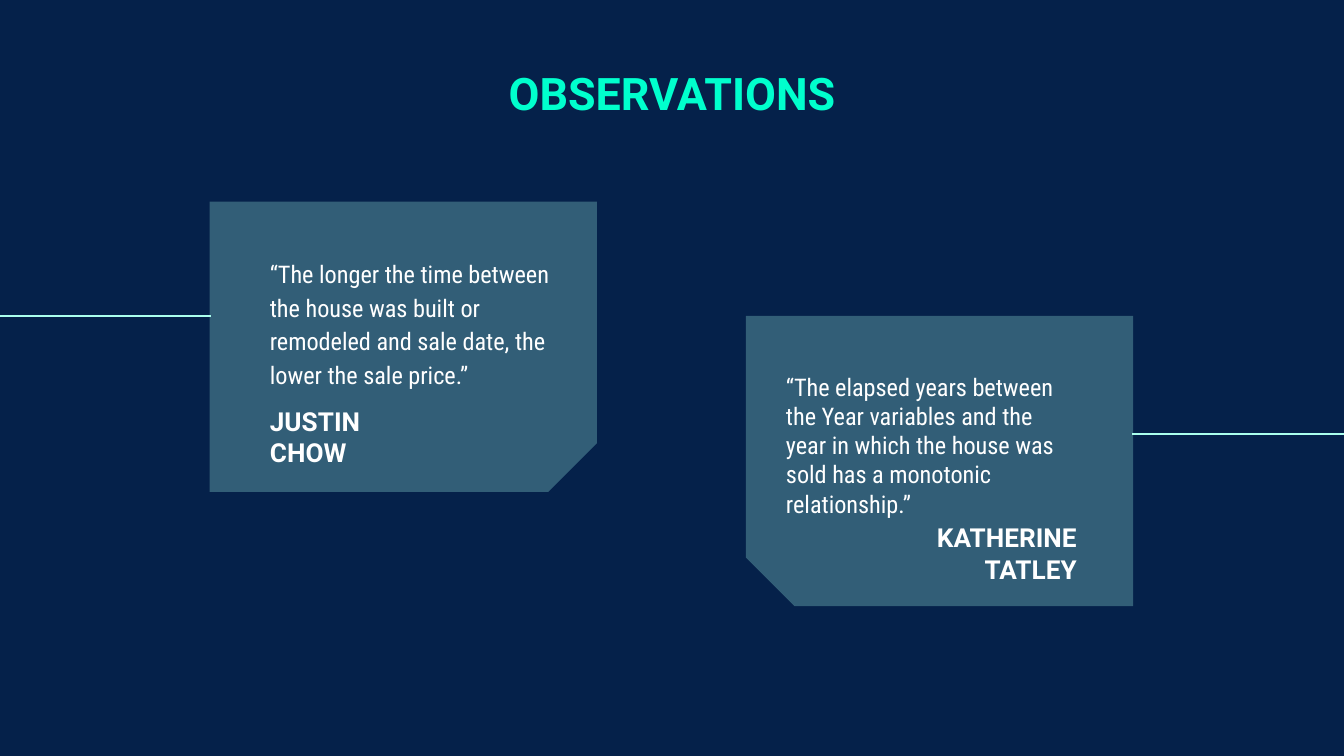
from lxml import etree
from pptx import Presentation
from pptx.dml.color import RGBColor
from pptx.enum.shapes import MSO_CONNECTOR, MSO_SHAPE
from pptx.enum.text import MSO_ANCHOR, PP_ALIGN
from pptx.oxml.ns import qn
from pptx.util import Inches, Pt

STRAIGHT = MSO_CONNECTOR.STRAIGHT
SNIPPED = MSO_SHAPE.SNIP_1_RECTANGLE
TOP, BOTTOM = MSO_ANCHOR.TOP, MSO_ANCHOR.BOTTOM
LEFT, CENTER, RIGHT = PP_ALIGN.LEFT, PP_ALIGN.CENTER, PP_ALIGN.RIGHT

# The grid has square cells: 100 columns by 56.25 rows.
COLUMNS, ROWS = 100, 56.25
CELL = 0.1
CARD_WIDTH, CARD_HEIGHT = 28.8, 21.6

NAVY, MINT, PALE, WHITE = "05214A", "00FFCD", "AAFFEE", "FFFFFF"
HEADING_FONT, BODY_FONT = "Roboto", "Roboto Condensed"


def grid(cells):
    return Inches(cells * CELL)


def color(hex_string):
    return RGBColor.from_string(hex_string)


def write(frame, text, *, size, font, fill=WHITE, bold=False, align=LEFT,
          anchor=TOP, spacing=1.0):
    frame.word_wrap = True
    frame.vertical_anchor = anchor
    frame.margin_left = frame.margin_right = grid(1)
    frame.margin_top = frame.margin_bottom = grid(1)
    paragraph = frame.paragraphs[0]
    paragraph.alignment = align
    paragraph.line_spacing = spacing
    run = paragraph.add_run()
    run.text = text
    run.font.size = Pt(size)
    run.font.name = font
    run.font.bold = bold
    run.font.color.rgb = color(fill)


class Deck:
    """Holds the style and the current slide; lengths are in grid cells."""

    def __init__(self):
        self.presentation = Presentation()
        self.presentation.slide_width = grid(COLUMNS)
        self.presentation.slide_height = grid(ROWS)
        self.slide = None

    def add_slide(self):
        blank = self.presentation.slide_layouts[6]
        self.slide = self.presentation.slides.add_slide(blank)
        background = self.slide.background.fill
        background.solid()
        background.fore_color.rgb = color(NAVY)

    def text(self, left, top, width, height, words, **style):
        box = self.slide.shapes.add_textbox(
            grid(left), grid(top), grid(width), grid(height))
        write(box.text_frame, words, **style)

    def rule(self, start, end, row):
        line = self.slide.shapes.add_connector(
            STRAIGHT, grid(start), grid(row), grid(end), grid(row))
        line.line.color.rgb = color(PALE)
        line.line.width = Pt(0.75)
        etree.SubElement(line._element.spPr, qn("a:effectLst"))

    def card(self, left, top, mirrored=False):
        """Draw an upright card turned on its side, its cut corner at the bottom."""
        turn = (CARD_WIDTH - CARD_HEIGHT) / 2
        card = self.slide.shapes.add_shape(
            SNIPPED, grid(left + turn), grid(top - turn),
            grid(CARD_HEIGHT), grid(CARD_WIDTH))
        card.adjustments[0] = 0.167
        card.rotation = 270 if mirrored else 90
        if mirrored:
            card._element.spPr.find(qn("a:xfrm")).set("flipH", "1")
        card.shadow.inherit = False
        card.line.fill.background()
        card.fill.solid()
        card.fill.fore_color.rgb = color(PALE)
        tint = card._element.spPr.find(".//" + qn("a:srgbClr"))
        etree.SubElement(tint, qn("a:alpha")).set("val", "28000")

    def quote(self, left, top, words, spacing=1.0):
        self.text(left, top, 23.6, 11, words, size=13, font=BODY_FONT,
                  spacing=spacing)

    def speaker(self, left, top, width, name, align=LEFT):
        self.text(left, top, width, 4.7, name, size=14, font=HEADING_FONT,
                  bold=True, align=align, anchor=BOTTOM)


def main():
    deck = Deck()
    deck.add_slide()
    first_left, first_top = 15.6, 15
    second_left, second_top = 55.5, 23.5

    deck.rule(COLUMNS, second_left + CARD_WIDTH - 0.1, 32.3)
    deck.rule(first_left + 0.1, 0, 23.5)
    deck.card(second_left, second_top, mirrored=True)
    deck.text(21.5, 3.9, 57, 10.3, "OBSERVATIONS", size=24,
              font=HEADING_FONT, fill=MINT, bold=True, align=CENTER)
    deck.card(first_left, first_top)

    deck.speaker(19.1, 31.1, 13.8, "JUSTIN CHOW")
    deck.quote(19.1, 18, "“The longer the time between the house was built or "
               "remodeled and sale date, the lower the sale price.”",
               spacing=1.15)
    deck.speaker(61.6, 39.8, 19.5, "KATHERINE TATLEY", align=RIGHT)
    deck.quote(57.5, 26.7, "“The elapsed years between the Year variables and "
               "the year in which the house was sold has a monotonic "
               "relationship.”")
    deck.presentation.save("out.pptx")


if __name__ == "__main__":
    main()
